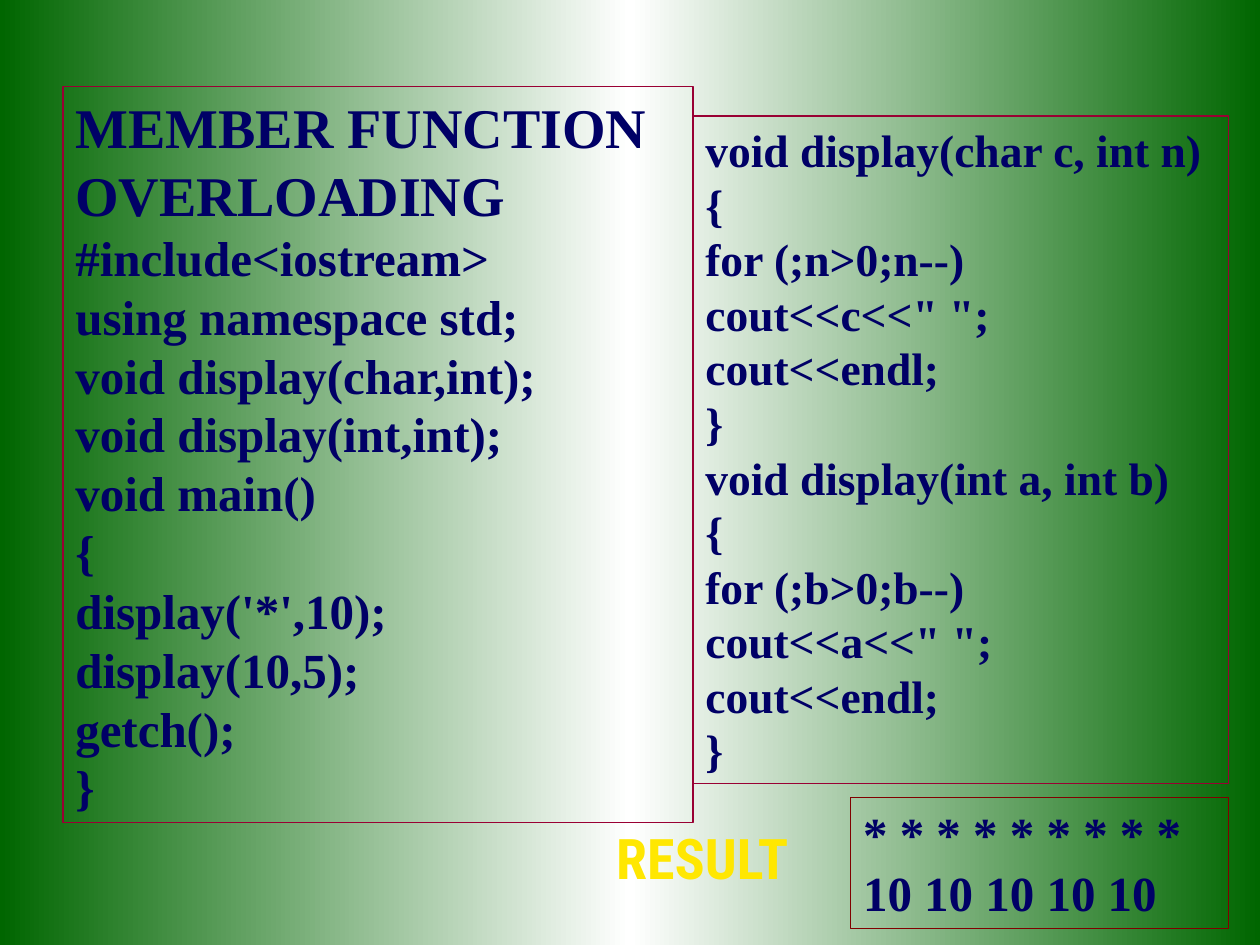
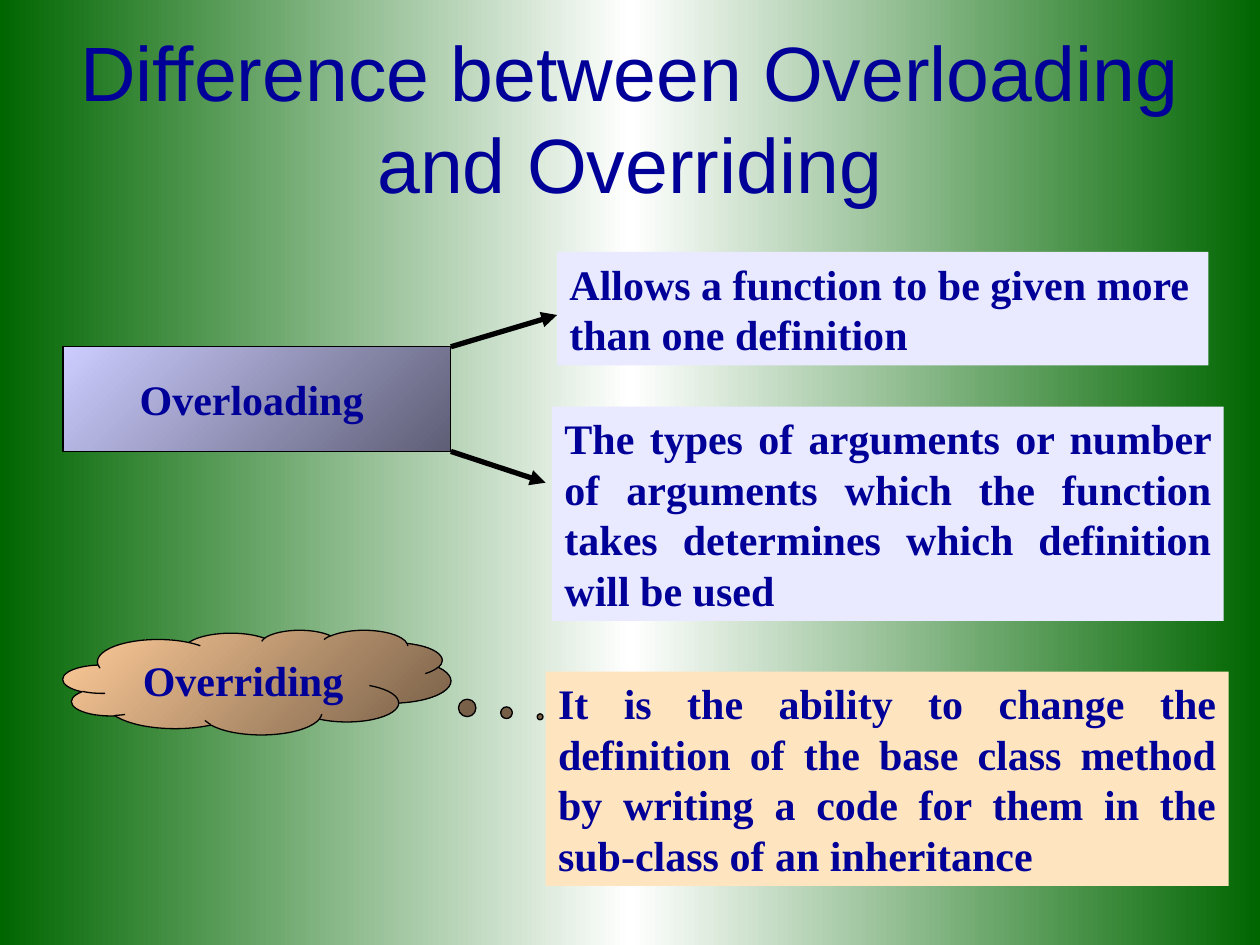
"""Build two slides about function overloading and overriding."""
from lxml import etree
from pptx import Presentation
from pptx.dml.color import RGBColor
from pptx.enum.shapes import MSO_CONNECTOR, MSO_SHAPE
from pptx.enum.text import MSO_ANCHOR, MSO_AUTO_SIZE, PP_ALIGN
from pptx.oxml.ns import qn
from pptx.util import Cm, Pt

RECTANGLE, CLOUD = MSO_SHAPE.RECTANGLE, MSO_SHAPE.CLOUD_CALLOUT
STRAIGHT = MSO_CONNECTOR.STRAIGHT
TOP, MIDDLE = MSO_ANCHOR.TOP, MSO_ANCHOR.MIDDLE
LEFT, CENTER, JUSTIFY = PP_ALIGN.LEFT, PP_ALIGN.CENTER, PP_ALIGN.JUSTIFY
NO_FIT, GROW = MSO_AUTO_SIZE.NONE, MSO_AUTO_SIZE.SHAPE_TO_FIT_TEXT

GREEN = RGBColor(0x00, 0x66, 0x00)
WHITE = RGBColor(0xFF, 0xFF, 0xFF)
BLACK = RGBColor(0x00, 0x00, 0x00)
NAVY = RGBColor(0x00, 0x00, 0x66)
BLUE = RGBColor(0x00, 0x00, 0x99)
CRIMSON = RGBColor(0x99, 0x00, 0x33)
MAROON = RGBColor(0x80, 0x00, 0x00)
YELLOW = RGBColor(0xFF, 0xE7, 0x01)
LAVENDER = RGBColor(0xCC, 0xCC, 0xFF)
SLATE = RGBColor(0x5E, 0x5E, 0x76)
PEACH = RGBColor(0xFF, 0xCC, 0x99)
BROWN = RGBColor(0x76, 0x5E, 0x47)
PALE_LAVENDER = RGBColor(0xE9, 0xE9, 0xFF)
PALE_PEACH = RGBColor(0xFF, 0xE5, 0xBF)

SERIF, SANS, CONDENSED = "Times New Roman", "Arial", "Roboto Condensed"

MAIN_CODE = """MEMBER FUNCTION OVERLOADING
#include<iostream>
using namespace std;
void display(char,int);
void display(int,int);
void main()
{
display('*',10);
display(10,5);
getch();
}"""

DISPLAY_CODE = """void display(char c, int n)
{
for (;n>0;n--)
cout<<c<<" ";
cout<<endl;
}
void display(int a, int b)
{
for (;b>0;b--)
cout<<a<<" ";
cout<<endl;
}"""

OUTPUT = """* * * * * * * * *
10 10 10 10 10"""

DEFINITIONS = [
    ((11.23, 5.08, 13.13, 2.29), PALE_LAVENDER, LEFT,
     "Allows a function to be given more than one definition"),
    ((11.13, 8.2, 13.54, 4.32), PALE_LAVENDER, JUSTIFY,
     "The types of arguments or number of arguments which the function "
     "takes determines which definition will be used"),
    ((11, 13.54, 13.77, 4.32), PALE_PEACH, JUSTIFY,
     "It is the ability to change the definition of the base class method "
     "by writing a code for them in the sub-class of an inheritance"),
]


def set_gradient(fill, element, colors, angle):
    """Fill with evenly spaced colours at a clockwise angle in degrees."""
    fill.gradient()
    fill.gradient_angle = -angle % 360
    stops = next(element.iter(qn("a:gsLst")))
    for stop in list(stops):
        stops.remove(stop)
    for index, color in enumerate(colors):
        position = 100000 * index // (len(colors) - 1)
        stop = etree.SubElement(stops, qn("a:gs"), pos=str(position))
        etree.SubElement(stop, qn("a:srgbClr"), val=str(color))


def set_text(text_frame, text, size, color, name=SERIF, bold=True,
             alignment=LEFT, anchor=TOP, wrap=True, fit=NO_FIT):
    """Write the text and format every paragraph alike."""
    text_frame.text = text
    text_frame.word_wrap = wrap
    text_frame.auto_size = fit
    text_frame.vertical_anchor = anchor
    for paragraph in text_frame.paragraphs:
        paragraph.alignment = alignment
        for run in paragraph.runs:
            run.font.name = name
            run.font.size = Pt(size)
            run.font.bold = bold
            run.font.color.rgb = color


def add_outlined_shape(slide, kind, area, line_color=None):
    """Add an unfilled shape with a thin line or none."""
    shape = slide.shapes.add_shape(kind, *map(Cm, area))
    shape.shadow.inherit = False
    shape.fill.background()
    if line_color is None:
        shape.line.fill.background()
    else:
        shape.line.color.rgb = line_color
        shape.line.width = Pt(0.75)
    return shape


def add_code_box(slide, area, text, size, line_color=CRIMSON):
    """Add a framed box of code or program output."""
    shape = add_outlined_shape(slide, RECTANGLE, area, line_color)
    set_text(shape.text_frame, text, size, NAVY, fit=GROW)
    return shape


def add_term(slide, kind, top, text, colors):
    """Add a gradient shape that names a term."""
    shape = add_outlined_shape(slide, kind, (1.27, top, 7.82, 2.11), BLACK)
    set_gradient(shape.fill, shape.element, colors, 45)
    set_text(shape.text_frame, text, 24, BLUE, alignment=CENTER,
             anchor=MIDDLE, wrap=False)
    return shape


def add_definition(slide, area, color, alignment, text):
    """Add a filled box that explains a term."""
    shape = add_outlined_shape(slide, RECTANGLE, area)
    shape.fill.solid()
    shape.fill.fore_color.rgb = color
    set_text(shape.text_frame, text, 24, BLUE, alignment=alignment, fit=GROW)


def add_arrow(slide, *ends):
    """Add a thick black arrow between two points."""
    connector = slide.shapes.add_connector(STRAIGHT, *map(Cm, ends))
    connector.line.color.rgb = BLACK
    connector.line.width = Pt(3)
    properties = connector.element.spPr
    line = properties.find(qn("a:ln"))
    etree.SubElement(line, qn("a:tailEnd"), type="triangle")
    etree.SubElement(properties, qn("a:effectLst"))


def build_code_slide(presentation):
    """Show the overloaded function and its output."""
    slide = presentation.slides.add_slide(presentation.slide_layouts[6])
    main_box = add_code_box(slide, (1.27, 1.75, 12.7, 14.83), MAIN_CODE, 28)
    main_box.text_frame.paragraphs[0].runs[0].font.size = Pt(32)
    add_code_box(slide, (13.97, 2.34, 10.8, 13.46), DISPLAY_CODE, 26)
    add_code_box(slide, (17.15, 16.08, 7.62, 2.64), OUTPUT, 28, MAROON)
    label = slide.shapes.add_textbox(*map(Cm, (12.17, 16.48, 4.65, 2.16)))
    set_text(label.text_frame, "RESULT", 32, YELLOW, CONDENSED, wrap=False)


def build_difference_slide(presentation):
    """Compare overloading with overriding."""
    slide = presentation.slides.add_slide(presentation.slide_layouts[5])
    title = slide.shapes.title
    title.left, title.top, title.width, title.height = map(
        Cm, (1.27, 0.76, 22.86, 3.18))
    set_text(title.text_frame, "Difference between Overloading and Overriding",
             44, BLUE, SANS, bold=False, alignment=CENTER, anchor=MIDDLE)
    add_term(slide, RECTANGLE, 6.99, "Overloading ", (LAVENDER, SLATE))
    cloud = add_term(slide, CLOUD, 12.7, "Overriding", (PEACH, BROWN))
    cloud.adjustments[0] = 0.73
    cloud.adjustments[1] = 0.33
    for definition in DEFINITIONS:
        add_definition(slide, *definition)
    add_arrow(slide, 9.09, 6.99, 11.23, 6.35)
    add_arrow(slide, 9.09, 9.1, 11, 9.73)


def main():
    """Build and save the presentation."""
    presentation = Presentation()
    presentation.slide_width = Cm(25.4)
    presentation.slide_height = Cm(19.05)
    master = presentation.slide_master
    set_gradient(master.background.fill, master.element,
                 (GREEN, WHITE, GREEN), 0)
    build_code_slide(presentation)
    build_difference_slide(presentation)
    presentation.save("out.pptx")


if __name__ == "__main__":
    main()
